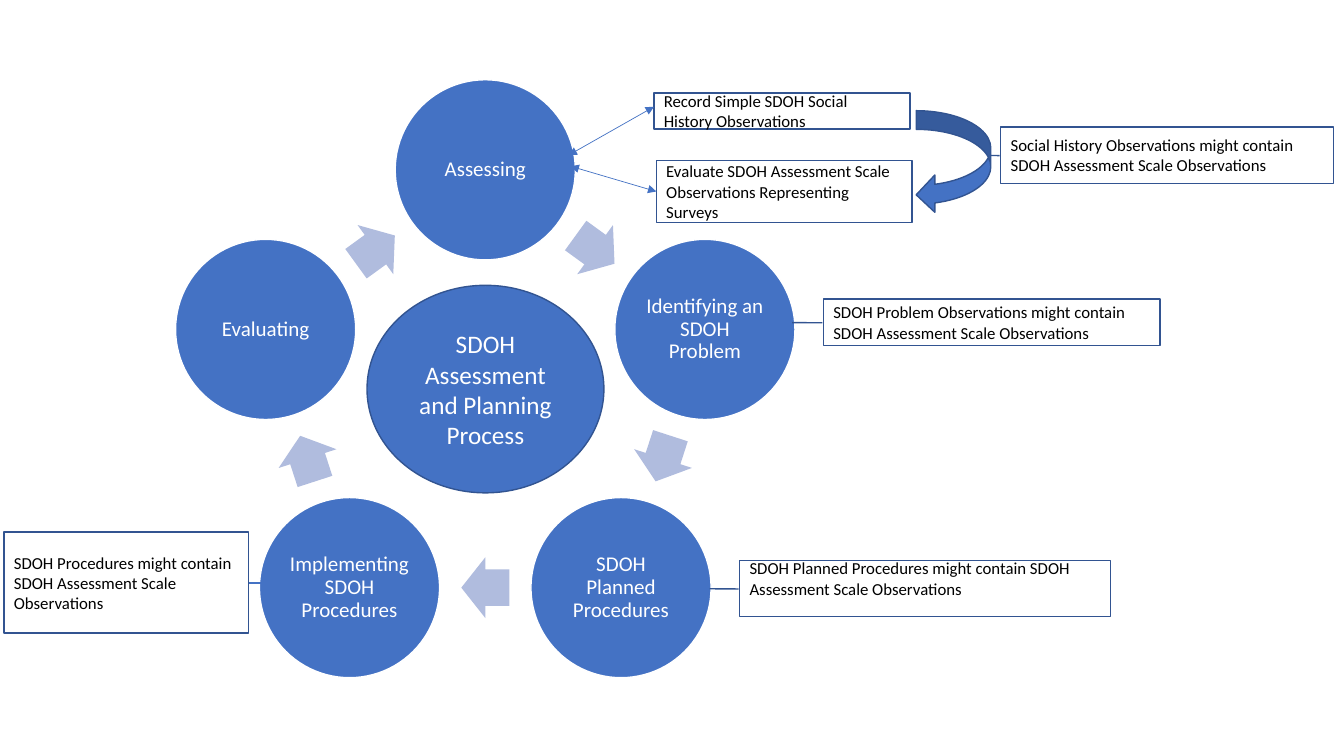
import math
from dataclasses import dataclass
from typing import Optional

from lxml import etree
from pptx import Presentation
from pptx import util as u
from pptx.dml.color import RGBColor
from pptx.enum import shapes, text
from pptx.oxml import ns

BLUE, NAVY, PALE = "4472C4", "325491", "B0BCDE"
WHITE, BLACK = "FFFFFF", "000000"
SHAPE = shapes.MSO_SHAPE

# Ring geometry, in centimetres
CENTER_X, CENTER_Y, RADIUS = 12.23, 10.1, 5.82
STEP_SIZE = 4.54
ARROW_W, ARROW_H = 1.21, 1.53


@dataclass
class Note:
    label: str
    left: float
    top: float
    width: float
    height: float
    reach: Optional[float] = None  # callout line end, as a share of the width
    bottom: float = 0.13


@dataclass
class Link:
    x1: float
    y1: float
    x2: float
    y2: float
    width: float
    arrows: bool = False
    begin_note: Optional[int] = None
    end_note: Optional[int] = None


STEPS = ["Assessing", "Identifying an SDOH Problem", "SDOH Planned Procedures",
         "Implementing SDOH Procedures", "Evaluating"]

NOTES = [
    Note("Record Simple SDOH Social History Observations", 16.48, 2.34, 6.45, 0.91),
    Note("Evaluate SDOH Assessment Scale Observations Representing Surveys",
         16.54, 4.04, 6.45, 1.57),
    Note("Social History Observations might contain SDOH Assessment Scale Observations",
         25.22, 3.2, 8.38, 1.42, reach=-0.035),
    Note("SDOH Problem Observations might contain SDOH Assessment Scale Observations",
         20.75, 7.54, 8.48, 1.17, reach=-0.093),
    Note("SDOH Planned Procedures might contain SDOH Assessment Scale Observations",
         18.64, 14.12, 9.35, 1.42, reach=-0.081, bottom=0.64),
    Note("SDOH Procedures might contain SDOH Assessment Scale Observations",
         0.1, 13.41, 6.17, 2.54),
]

LINKS = [
    Link(14.33, 3.91, 16.48, 2.69, 0.5, arrows=True),
    Link(14.38, 4.19, 16.54, 4.82, 0.5, arrows=True, end_note=1),
    Link(6.27, 14.68, 6.63, 14.68, 1.5, begin_note=5),
]


def color(hex_code: str) -> RGBColor:
    return RGBColor.from_string(hex_code)


def add_shape(s, kind, left: float, top: float, width: float, height: float,
              fill: Optional[str] = None, line: Optional[str] = None):
    sp = s.shapes.add_shape(kind, u.Cm(left), u.Cm(top), u.Cm(width), u.Cm(height))
    sp.shadow.inherit = False
    if fill:
        sp.fill.solid()
        sp.fill.fore_color.rgb = color(fill)
    else:
        sp.fill.background()
    if line:
        sp.line.color.rgb = color(line)
        sp.line.width = u.Pt(1)
    else:
        sp.line.fill.background()
    return sp


def write(sp, label: str, *, size: float, ink: str = WHITE,
          align=text.PP_ALIGN.CENTER, spacing: float = 1.0,
          inset: Optional[float] = None, bottom: Optional[float] = None) -> None:
    tf = sp.text_frame
    tf.word_wrap = True
    tf.vertical_anchor = text.MSO_ANCHOR.MIDDLE
    if inset is not None:
        tf.margin_left = tf.margin_right = u.Cm(inset)
        tf.margin_top = tf.margin_bottom = u.Cm(inset)
    if bottom is not None:
        tf.margin_bottom = u.Cm(bottom)
    p = tf.paragraphs[0]
    p.alignment = align
    p.line_spacing = spacing
    r = p.add_run()
    r.text = label
    r.font.name = "Calibri"
    r.font.size = u.Pt(size)
    r.font.color.rgb = color(ink)


def ring_point(angle: float, radius: float) -> tuple[float, float]:
    turn = math.radians(angle)
    return CENTER_X + radius * math.sin(turn), CENTER_Y - radius * math.cos(turn)


def add_ring(s) -> None:
    sector = 360 / len(STEPS)
    for i, label in enumerate(STEPS):
        x, y = ring_point(i * sector, RADIUS)
        sp = add_shape(s, SHAPE.OVAL, x - STEP_SIZE / 2, y - STEP_SIZE / 2,
                       STEP_SIZE, STEP_SIZE, BLUE, WHITE)
        write(sp, label, size=15, spacing=0.9, inset=0.05)

        # Arrow halfway to the next step
        angle = (i + 0.5) * sector
        x, y = ring_point(angle, RADIUS * math.cos(math.radians(sector / 2)))
        arrow = add_shape(s, SHAPE.RIGHT_ARROW, x - ARROW_W / 2, y - ARROW_H / 2,
                          ARROW_W, ARROW_H, PALE)
        arrow.adjustments[0] = 0.6
        arrow.rotation = angle


def add_note(s, note: Note):
    is_callout = note.reach is not None
    kind = SHAPE.LINE_CALLOUT_1 if is_callout else SHAPE.RECTANGLE
    sp = add_shape(s, kind, note.left, note.top, note.width, note.height, line=NAVY)
    if is_callout:
        for i, value in enumerate((0.509, -0.003, 0.505, note.reach)):
            sp.adjustments[i] = value
    write(sp, note.label, size=12, ink=BLACK, align=text.PP_ALIGN.LEFT,
          bottom=note.bottom)
    return sp


def add_link(s, link: Link, notes: list) -> None:
    cx = s.shapes.add_connector(shapes.MSO_CONNECTOR.STRAIGHT, u.Cm(link.x1),
                                u.Cm(link.y1), u.Cm(link.x2), u.Cm(link.y2))
    if link.begin_note is not None:
        cx.begin_connect(notes[link.begin_note], 3)
    if link.end_note is not None:
        cx.end_connect(notes[link.end_note], 1)
    cx.line.color.rgb = color(BLUE)
    cx.line.width = u.Pt(link.width)
    if link.arrows:
        ln = cx.line._get_or_add_ln()
        for end in ("a:headEnd", "a:tailEnd"):
            etree.SubElement(ln, ns.qn(end), type="triangle")
    etree.SubElement(cx._element.spPr, ns.qn("a:effectLst"))


def main() -> None:
    prs = Presentation()
    prs.slide_width, prs.slide_height = u.Cm(33.87), u.Cm(19.05)
    s = prs.slides.add_slide(prs.slide_layouts[6])

    # Process cycle and its title
    add_ring(s)
    title = add_shape(s, SHAPE.OVAL, 9.25, 7.19, 5.97, 5.23, BLUE, NAVY)
    write(title, "SDOH Assessment and Planning Process", size=18)

    # Notes, and the arrow between the two assessing notes
    notes = [add_note(s, note) for note in NOTES]
    add_shape(s, SHAPE.CURVED_LEFT_ARROW, 23.09, 2.79, 1.88, 2.59, BLUE, NAVY)

    # Lines from steps to notes
    for link in LINKS:
        add_link(s, link, notes)

    prs.save("out.pptx")


if __name__ == "__main__":
    main()
